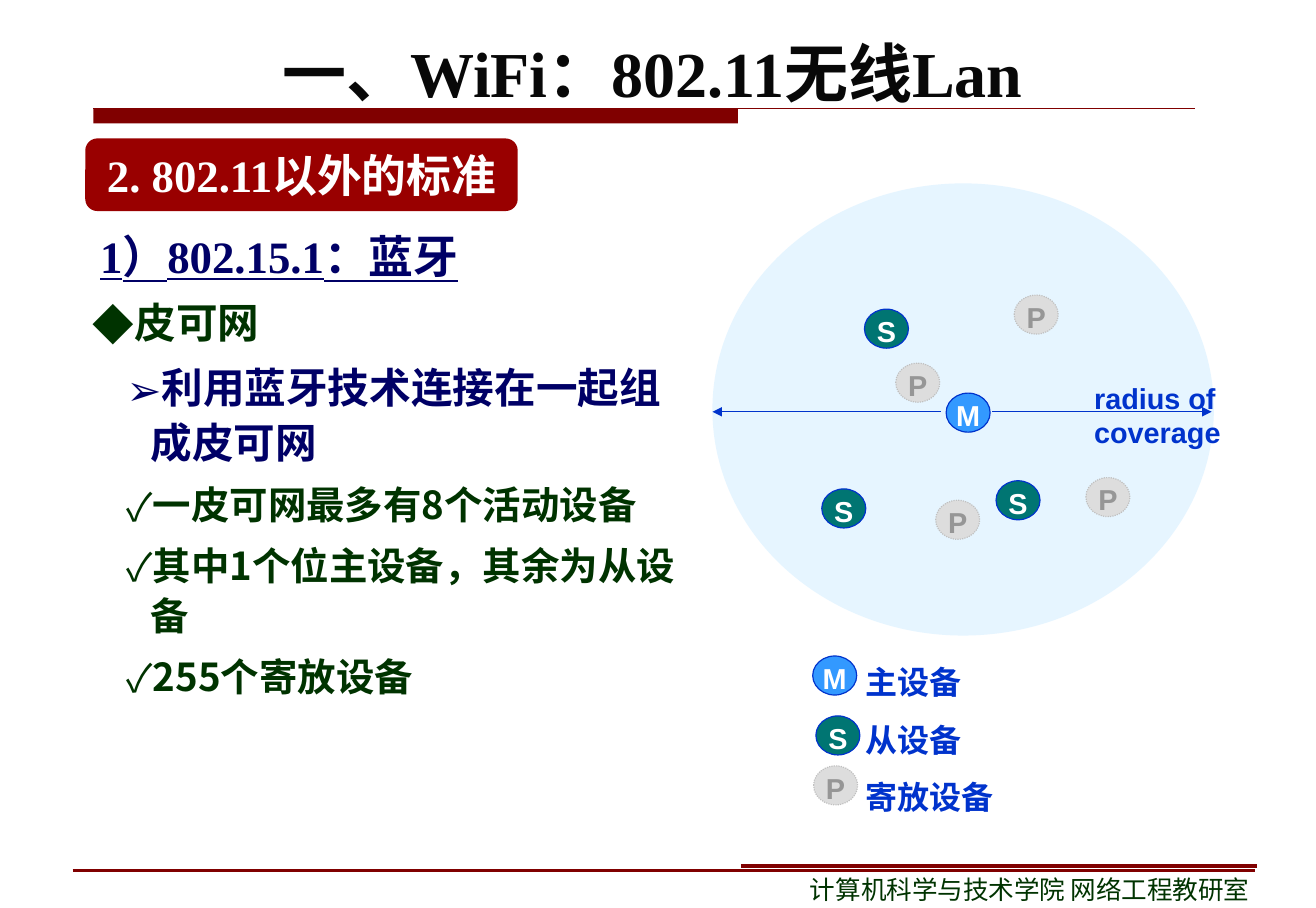
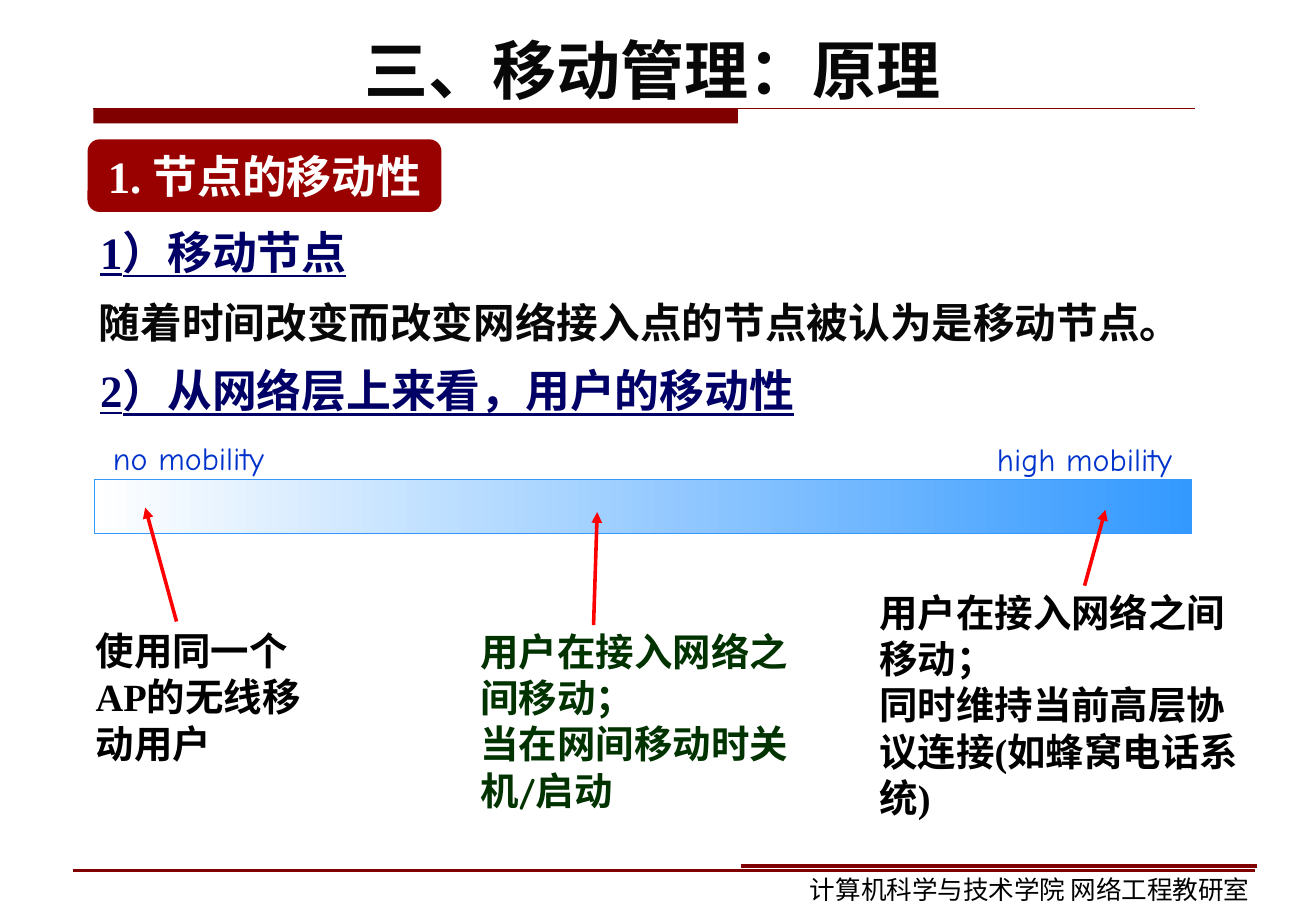
from dataclasses import dataclass
from typing import Any, NamedTuple, Optional

import pptx
import pptx.dml.color
import pptx.enum.dml
import pptx.enum.shapes
import pptx.enum.text
import pptx.oxml
import pptx.oxml.ns
import pptx.util
from pptx.util import Cm, Pt

COLOURS = {
    "maroon": "800000", "badge": "990000", "ink": "080808", "black": "000000",
    "white": "FFFFFF", "navy": "000066", "green": "003300", "blue": "0033CC",
    "sky": "3399FF", "pale": "CCECFF", "teal": "007572", "grey": "DDDDDD",
    "grey_line": "C0C0C0", "grey_text": "969696", "red": "FF0000",
}
SERIF, SANS, COMIC, CJK = "Times New Roman", "Arial", "Comic Neue", "Noto Sans CJK SC"
STYLES: dict[str, dict[str, Any]] = {
    "title": {"name": SERIF, "size": Pt(40), "bold": True},
    "heading": {"name": SERIF, "size": Pt(28), "bold": True},
    "subheading": {"name": SERIF, "size": Pt(28), "bold": True, "underline": True},
    "body": {"name": SERIF, "size": Pt(26), "bold": True},
    "point": {"name": CJK, "size": Pt(26), "bold": True},
    "detail": {"name": CJK, "size": Pt(24), "bold": True},
    "caption": {"name": SERIF, "size": Pt(24), "bold": True},
    "comic_caption": {"name": COMIC, "size": Pt(24), "bold": True},
    "legend": {"name": SERIF, "size": Pt(20), "bold": True},
    "scale": {"name": COMIC, "size": Pt(20)},
    "diagram": {"name": SANS, "size": Pt(18), "bold": True},
    "footer": {"name": SANS, "size": Pt(16)},
}
SHAPES = pptx.enum.shapes.MSO_SHAPE
ALIGN = pptx.enum.text.PP_ALIGN
ANCHOR = pptx.enum.text.MSO_ANCHOR


class Box(NamedTuple):
    """Left, top, width and height in centimetres."""
    left: float
    top: float
    width: float
    height: float


@dataclass
class Line:
    """One paragraph; margin and hang are centimetres, before is points."""
    text: str
    style: str
    colour: str
    bullet: str = ""
    margin: float = 0
    hang: float = 0
    spacing: float = 1
    before: float = 0
    align: Any = ALIGN.LEFT


@dataclass
class DeviceKind:
    fill: str
    outline: str
    letter: str
    dash: Optional[Any] = None


class Device(NamedTuple):
    kind: str
    left: float
    top: float


class Caption(NamedTuple):
    box: Box
    lines: list[str]
    style: str
    colour: str
    arrow: tuple[float, float, float, float]


DEVICE_KINDS = {
    "M": DeviceKind("sky", "blue", "white"),
    "S": DeviceKind("teal", "blue", "white"),
    "P": DeviceKind("grey", "grey_line", "grey_text", pptx.enum.dml.MSO_LINE.ROUND_DOT),
}
DEVICES = [
    Device("M", 20.85, 8.66),
    Device("S", 19.05, 6.81), Device("S", 21.95, 10.59), Device("S", 18.11, 10.77),
    Device("P", 22.35, 6.5), Device("P", 20.62, 11.02),
    Device("P", 19.74, 8), Device("P", 23.93, 10.52),
    Device("M", 17.91, 14.45), Device("S", 17.98, 15.77), Device("P", 17.93, 16.87),
]
CAPTIONS = [
    Caption(Box(1.83, 13.67, 5.41, 3.33), ["使用同一个AP的无线移动用户"],
            "caption", "black", (3.89, 13.69, 3.2, 11.18)),
    Caption(Box(10.31, 13.69, 7.72, 4.34), ["用户在接入网络之间移动；", "当在网间移动时关机/启动"],
            "comic_caption", "green", (13.08, 13.77, 13.16, 11.28)),
    Caption(Box(19.1, 12.83, 8.53, 5.36),
            ["用户在接入网络之间移动；", "同时维持当前高层协议连接(如蜂窝电话系统)"],
            "caption", "black", (23.9, 12.9, 24.36, 11.23)),
]


def rgb(name: str) -> Any:
    return pptx.dml.color.RGBColor.from_string(COLOURS[name])


def add_child(parent: Any, tag: str, **attributes: str) -> Any:
    child = pptx.oxml.parse_xml(f"<{tag} {pptx.oxml.ns.nsdecls('a')}/>")
    for key, value in attributes.items():
        child.set(key, value)
    parent.append(child)
    return child


def write_lines(frame: Any, lines: list[Line], inset: tuple[float, float] = (0.28, 0.15),
                wrap: bool = True, anchor: Any = ANCHOR.TOP) -> None:
    margins = {"margin_left": inset[0], "margin_right": inset[0],
               "margin_top": inset[1], "margin_bottom": inset[1]}
    for key, value in margins.items():
        setattr(frame, key, Cm(value))
    frame.word_wrap = wrap
    frame.vertical_anchor = anchor
    for index, line in enumerate(lines):
        paragraph = frame.add_paragraph() if index else frame.paragraphs[0]
        if line.bullet:
            properties = paragraph._p.get_or_add_pPr()
            properties.set("marL", str(Cm(line.margin)))
            properties.set("indent", str(-Cm(line.hang)))
            add_child(properties, "a:buFont", typeface=CJK)
            add_child(properties, "a:buChar", char=line.bullet)
        layout = {"alignment": line.align, "line_spacing": line.spacing,
                  "space_before": Pt(line.before)}
        for key, value in layout.items():
            setattr(paragraph, key, value)
        run = paragraph.add_run()
        run.text = line.text
        for key, value in STYLES[line.style].items():
            setattr(run.font, key, value)
        run.font.color.rgb = rgb(line.colour)
        add_child(run._r.get_or_add_rPr(), "a:ea", typeface=CJK)


def add_text(slide: Any, box: Box, lines: list[Line], **options: Any) -> None:
    textbox = slide.shapes.add_textbox(*map(Cm, box))
    write_lines(textbox.text_frame, lines, **options)


def add_shape(slide: Any, kind: Any, box: Box, fill: str, outline: str = "") -> Any:
    shape = slide.shapes.add_shape(kind, *map(Cm, box))
    shape.shadow.inherit = False
    shape.fill.solid()
    shape.fill.fore_color.rgb = rgb(fill)
    if outline:
        shape.line.color.rgb = rgb(outline)
        shape.line.width = Pt(0.75)
    else:
        shape.line.fill.background()
    return shape


def add_line(slide: Any, ends: tuple[float, float, float, float], colour: str,
             width: float, arrow: bool = False) -> None:
    connector = slide.shapes.add_connector(
        pptx.enum.shapes.MSO_CONNECTOR.STRAIGHT, *map(Cm, ends))
    connector.line.color.rgb = rgb(colour)
    connector.line.width = Pt(width)
    if arrow:
        add_child(connector.line._get_or_add_ln(), "a:tailEnd", type="triangle")
    add_child(connector._element.spPr, "a:effectLst")


def add_subheading(slide: Any, top: float, text: str) -> None:
    add_text(slide, Box(1.96, top, 25.2, 1.57),
             [Line(text, "subheading", "navy", spacing=1.1)], inset=(0.25, 0.13))


def add_device(slide: Any, device: Device) -> None:
    kind = DEVICE_KINDS[device.kind]
    oval = add_shape(slide, SHAPES.OVAL, Box(device.left, device.top, 0.97, 0.86),
                     kind.fill, kind.outline)
    if kind.dash:
        oval.line.dash_style = kind.dash
    write_lines(oval.text_frame,
                [Line(device.kind, "diagram", kind.letter, align=ALIGN.CENTER)],
                inset=(0, 0), wrap=False, anchor=ANCHOR.MIDDLE)
    oval.text_frame.margin_top = Cm(0.1)


def start_slide(presentation: Any, title: str, title_top: float, heading: str,
                badge: Box, footer_colour: str) -> Any:
    """Add a slide with its title, rule, heading badge and footer."""
    slide = presentation.slides.add_slide(presentation.slide_layouts[6])
    add_shape(slide, SHAPES.RECTANGLE, Box(2.06, 2.39, 14.2, 0.33), "maroon")
    add_line(slide, (2.06, 2.39, 26.34, 2.39), "maroon", 0.75)
    add_text(slide, Box(1.55, title_top, 25.65, 2.82),
             [Line(title, "title", "ink", align=ALIGN.CENTER)], anchor=ANCHOR.MIDDLE)
    shape = add_shape(slide, SHAPES.ROUNDED_RECTANGLE, badge, "badge")
    write_lines(shape.text_frame, [Line(heading, "heading", "white", align=ALIGN.CENTER)],
                inset=(0.25, 0.13), wrap=False, anchor=ANCHOR.MIDDLE)
    add_line(slide, (1.6, 19.17, 27.66, 19.17), "maroon", 1.5)
    add_line(slide, (16.33, 19.08, 27.71, 19.08), "maroon", 2.25)
    add_text(slide, Box(17.6, 19.13, 10.67, 0.94),
             [Line("计算机科学与技术学院 网络工程教研室", "footer", footer_colour)],
             inset=(0.25, 0.13))
    return slide


def build_bluetooth(presentation: Any) -> None:
    slide = start_slide(presentation, "一、WiFi：802.11无线Lan", 0.18,
                        "2. 802.11以外的标准", Box(1.88, 3.05, 9.53, 1.6), "green")
    add_subheading(slide, 4.8, "1）802.15.1：蓝牙")
    details = ["一皮可网最多有8个活动设备", "其中1个位主设备，其余为从设备", "255个寄放设备"]
    add_text(slide, Box(1.8, 6.3, 13.49, 10.34), [
        Line("皮可网", "body", "green", "◆", 0.9, 0.9, 1.1),
        Line("利用蓝牙技术连接在一起组成皮可网", "point", "navy", "➢", 1.27, 0.53, 1.1, 6.5),
        *(Line(text, "detail", "green", "✓", 1.27, 0.53, 1.1, 6) for text in details),
    ], inset=(0.25, 0.13))

    coverage = add_shape(slide, SHAPES.OVAL, Box(15.7, 4.04, 11.05, 9.96), "pale")
    colour = coverage._element.spPr.find(".//" + pptx.oxml.ns.qn("a:srgbClr"))
    add_child(colour, "a:alpha", val="49000")
    for start, end in ((21.87, 26.7), (20.73, 15.7)):
        add_line(slide, (start, 9.07, end, 9.07), "blue", 0.75, arrow=True)
    add_text(slide, Box(23.83, 8.23, 4, 1.8),
             [Line(text, "diagram", "blue") for text in ("radius of", "coverage")])
    for device in DEVICES:
        add_device(slide, device)
    add_text(slide, Box(18.8, 14.02, 5, 4.09),
             [Line(text, "legend", "blue", spacing=1.5)
              for text in ("主设备", "从设备", "寄放设备")])


def build_mobility(presentation: Any) -> None:
    slide = start_slide(presentation, "三、移动管理：原理", 0.11,
                        "1. 节点的移动性", Box(1.93, 3.07, 7.8, 1.6), "black")
    add_subheading(slide, 4.7, "1）移动节点")
    add_text(slide, Box(1.93, 6.3, 25.2, 1.47),
             [Line("随着时间改变而改变网络接入点的节点被认为是移动节点。", "body", "ink", spacing=1.1)],
             inset=(0.25, 0.13))
    add_subheading(slide, 7.75, "2）从网络层上来看，用户的移动性")

    scale = add_shape(slide, SHAPES.RECTANGLE, Box(2.08, 10.57, 24.18, 1.19), "sky", "sky")
    scale.fill.gradient()
    scale.fill.gradient_angle = 0
    for stop, position, colour in zip(scale.fill.gradient_stops, (0, 1), ("white", "sky")):
        stop.position = position
        stop.color.rgb = rgb(colour)
    for left, top, text in ((2.21, 9.5, "no mobility"), (21.69, 9.53, "high mobility")):
        add_text(slide, Box(left, top, 5.5, 1.12), [Line(text, "scale", "blue")])
    for caption in CAPTIONS:
        add_text(slide, caption.box,
                 [Line(text, caption.style, caption.colour) for text in caption.lines])
        add_line(slide, caption.arrow, "red", 2.25, arrow=True)


def main() -> None:
    presentation = pptx.Presentation()
    presentation.slide_width = Cm(29)
    presentation.slide_height = Cm(20)
    build_bluetooth(presentation)
    build_mobility(presentation)
    presentation.save("out.pptx")


if __name__ == "__main__":
    main()
